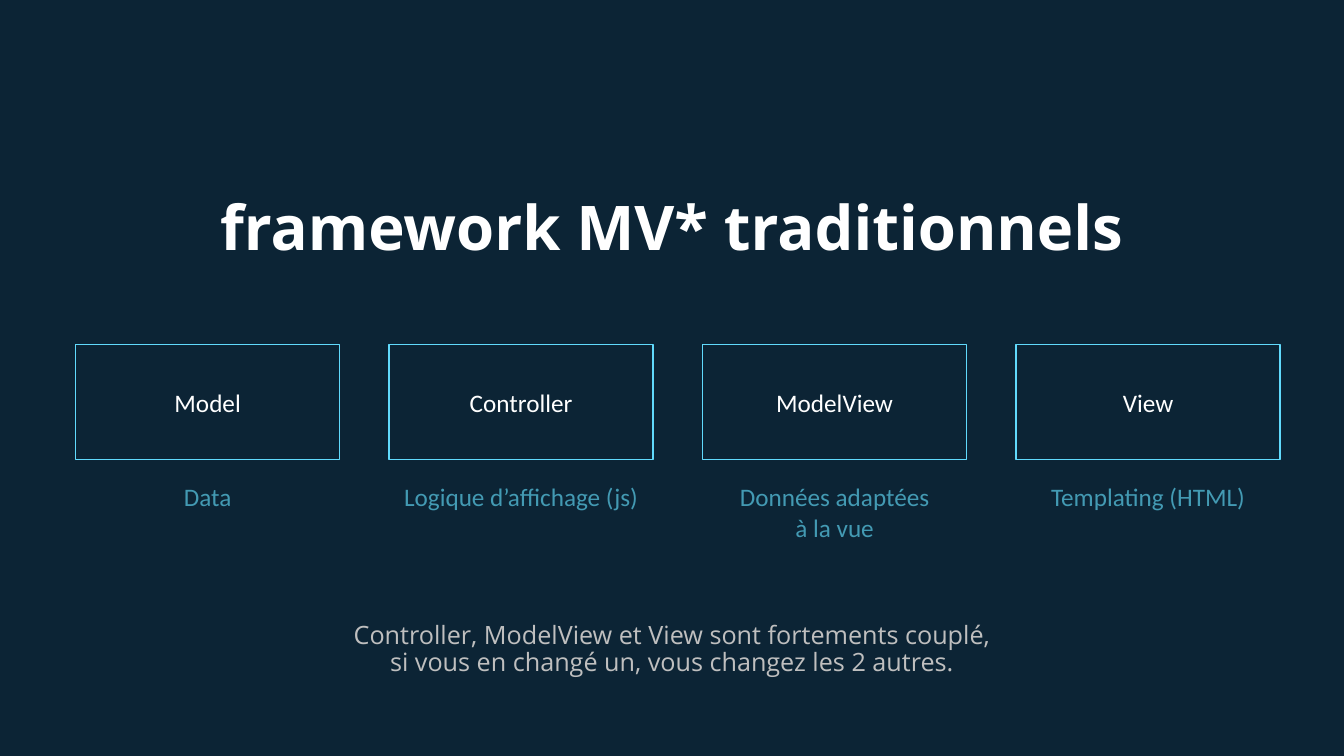
from typing import NamedTuple

from pptx import Presentation
from pptx import util as u
from pptx.dml import color
from pptx.enum import shapes, text

SLIDE_WIDTH, SLIDE_HEIGHT = 960, 540
COLUMN_LEFT, COLUMN_STEP, COLUMN_WIDTH = 54, 223.92, 188.64
BOX_TOP, BOX_HEIGHT = 246.24, 82.08
CAPTION_TOP, CAPTION_LINE, CAPTION_PADDING = 340.56, 22, 7
BANNER_HEIGHT = 163.44
TITLE_TOP, CONCLUSION_TOP = 82.8, 382.32


class Layer(NamedTuple):
    name: str
    role: list[str]


LAYERS = [
    Layer("Model", ["Data"]),
    Layer("Controller", ["Logique d’affichage (js)"]),
    Layer("ModelView", ["Données adaptées", "à la vue"]),
    Layer("View", ["Templating (HTML)"]),
]
CONCLUSION = [
    "Controller, ModelView et View sont fortements couplé,",
    "si vous en changé un, vous changez les 2 autres.",
]


def paint(target, hex_color: str) -> None:
    target.rgb = color.RGBColor.from_string(hex_color)


def area(left: float, top: float, width: float, height: float) -> list[u.Length]:
    return [u.Pt(length) for length in (left, top, width, height)]


def write(shape, lines: list[str], *, hex_color: str, font: str = "Calibri",
          size: float = 18, bold: bool = False, spacing: float = 1.0,
          anchor=text.MSO_ANCHOR.MIDDLE) -> None:
    frame = shape.text_frame
    frame.word_wrap = True
    frame.auto_size = text.MSO_AUTO_SIZE.NONE
    frame.vertical_anchor = anchor
    frame.text = "\n".join(lines)
    for paragraph in frame.paragraphs:
        paragraph.alignment = text.PP_ALIGN.CENTER
        paragraph.line_spacing = spacing
        for run in paragraph.runs:
            run.font.name = font
            run.font.size = u.Pt(size)
            run.font.bold = bold
            paint(run.font.color, hex_color)


def draw_layer(slide, layer: Layer, left: float) -> None:
    box = slide.shapes.add_shape(
        shapes.MSO_SHAPE.RECTANGLE, *area(left, BOX_TOP, COLUMN_WIDTH, BOX_HEIGHT))
    box.shadow.inherit = False
    box.fill.background()
    box.line.width = u.Pt(1)
    paint(box.line.color, "61DAFC")
    write(box, [layer.name], hex_color="FFFFFF")

    height = CAPTION_PADDING + CAPTION_LINE * len(layer.role)
    caption = slide.shapes.add_textbox(
        *area(left, CAPTION_TOP, COLUMN_WIDTH, height))
    write(caption, layer.role, hex_color="439AB3", anchor=text.MSO_ANCHOR.TOP)


def main() -> None:
    presentation = Presentation()
    presentation.slide_width = u.Pt(SLIDE_WIDTH)
    presentation.slide_height = u.Pt(SLIDE_HEIGHT)
    slide = presentation.slides.add_slide(presentation.slide_layouts[5])
    slide.background.fill.solid()
    paint(slide.background.fill.fore_color, "0C2435")

    title = slide.shapes.title
    title.left, title.top, title.width, title.height = area(
        0, TITLE_TOP, SLIDE_WIDTH, BANNER_HEIGHT)
    write(title, ["framework MV* traditionnels"], hex_color="FFFFFF",
          font="Open Sans", size=44, bold=True, spacing=0.9)

    for index, layer in enumerate(LAYERS):
        draw_layer(slide, layer, COLUMN_LEFT + index * COLUMN_STEP)

    conclusion = slide.shapes.add_textbox(
        *area(0, CONCLUSION_TOP, SLIDE_WIDTH, BANNER_HEIGHT))
    write(conclusion, CONCLUSION, hex_color="BFBFBF", font="Open Sans", spacing=0.9)

    presentation.save("out.pptx")


if __name__ == "__main__":
    main()
